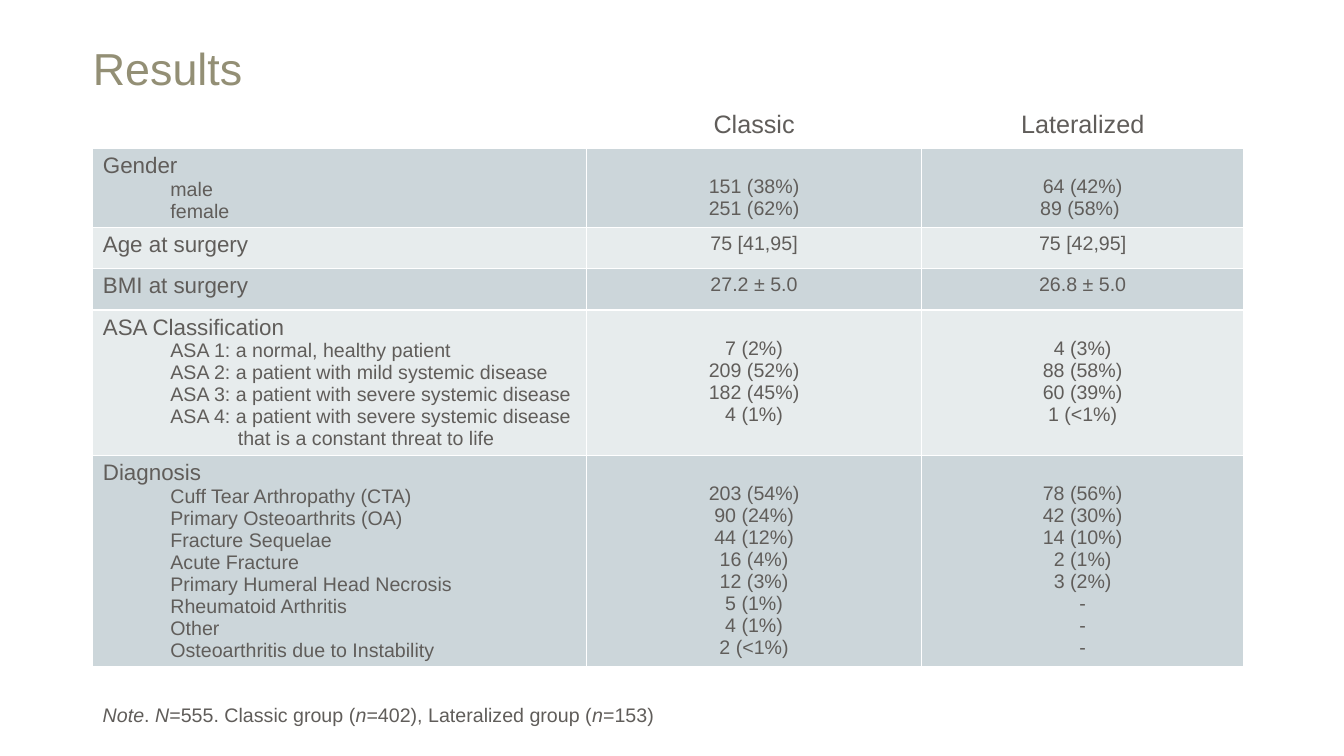
from pptx import Presentation
from pptx.dml.color import RGBColor
from pptx.enum import text
from pptx.util import Cm, Pt

OLIVE = RGBColor(0x93, 0x8F, 0x75)
GREY = RGBColor(0x60, 0x5D, 0x5A)
BANDS = [RGBColor(0xCC, 0xD6, 0xDA), RGBColor(0xE7, 0xEC, 0xED)]
FONT = "Arial"
LEFT, WIDTH = Cm(2.34), Cm(29.03)

columns = [("", 12.45), ("Classic", 8.43), ("Lateralized", 8.13)]
groups = [
    (1.96, "Gender", [
        ("male", "151 (38%)", "64 (42%)"),
        ("female", "251 (62%)", "89 (58%) "),
    ]),
    (1.04, "Age at surgery", [("", "75 [41,95]", "75 [42,95]")]),
    (1.04, "BMI at surgery", [("", "27.2 ± 5.0", "26.8 ± 5.0")]),
    (3.66, "ASA Classification", [
        ("ASA 1: a normal, healthy patient", "7 (2%)", "4 (3%)"),
        ("ASA 2: a patient with mild systemic disease", "209 (52%)", "88 (58%)"),
        ("ASA 3: a patient with severe systemic disease", "182 (45%)", "60 (39%)"),
        ("ASA 4: a patient with severe systemic disease", "4 (1%)", "1 (<1%)"),
        ("that is a constant threat to life", "", ""),
    ]),
    (5.3, "Diagnosis", [
        ("Cuff Tear Arthropathy (CTA)", "203 (54%)", "78 (56%)"),
        ("Primary Osteoarthrits (OA)", "90 (24%)", "42 (30%)"),
        ("Fracture Sequelae", "44 (12%)", "14 (10%)"),
        ("Acute Fracture", "16 (4%)", "2 (1%)"),
        ("Primary Humeral Head Necrosis", "12 (3%)", "3 (2%)"),
        ("Rheumatoid Arthritis", "5 (1%)", "-"),
        ("Other", "4 (1%)", "-"),
        ("Osteoarthritis due to Instability", "2 (<1%)", "-"),
    ]),
]


def style(paragraph, size, align=text.PP_ALIGN.LEFT, color=GREY):
    paragraph.alignment = align
    paragraph.font.name = FONT
    paragraph.font.size = Pt(size)
    paragraph.font.bold = False
    paragraph.font.color.rgb = color


def fill_cell(cell, lines, size, align):
    cell.text = "\n".join(lines)
    for paragraph in cell.text_frame.paragraphs:
        style(paragraph, size, align)


prs = Presentation()
prs.slide_width, prs.slide_height = Cm(33.87), Cm(19.05)
slide = prs.slides.add_slide(prs.slide_layouts[5])

title = slide.shapes.title
title.left, title.top, title.width, title.height = LEFT, Cm(1.02), Cm(29.21), Cm(3.68)
heading = title.text_frame
heading.text = "Results"
heading.vertical_anchor = text.MSO_ANCHOR.TOP
heading.margin_left = heading.margin_top = heading.margin_right = heading.margin_bottom = 0
style(heading.paragraphs[0], 32, color=OLIVE)

table = slide.shapes.add_table(
    len(groups) + 1, len(columns), LEFT, Cm(2.65), WIDTH, Cm(14.1)).table
table.rows[0].height = Cm(1.09)
for col, (name, width) in enumerate(columns):
    table.columns[col].width = Cm(width)
    header = table.cell(0, col)
    header.fill.background()
    fill_cell(header, [name], 18, text.PP_ALIGN.CENTER)

for row, (height, group, entries) in enumerate(groups, start=1):
    table.rows[row].height = Cm(height)
    labels, *results = zip(*entries)
    sublabels = [label for label in labels if label]

    label_cell = table.cell(row, 0)
    fill_cell(label_cell, [group, *sublabels], 14, text.PP_ALIGN.LEFT)
    first, *subs = label_cell.text_frame.paragraphs
    first.font.size = Pt(16)
    for sub in subs:
        continued = sub.text.startswith("that")
        sub.level = 2 if continued else 1
        indent = Cm(3.4 if continued else 1.7)
        properties = sub._p.get_or_add_pPr()
        properties.set("marL", str(indent))
        properties.set("indent", "0")

    for col, values in enumerate(results, start=1):
        result_cell = table.cell(row, col)
        fill_cell(result_cell, [v for v in values if v], 14, text.PP_ALIGN.CENTER)
        if sublabels:
            result_cell.margin_top = Cm(0.69)

    for col in range(len(columns)):
        fill = table.cell(row, col).fill
        fill.solid()
        fill.fore_color.rgb = BANDS[(row - 1) % 2]

note = slide.shapes.add_textbox(LEFT, Cm(17.6), WIDTH, Cm(0.86)).text_frame
note.word_wrap = True
note_line = note.paragraphs[0]
style(note_line, 14, text.PP_ALIGN.JUSTIFY)
for i, part in enumerate(["Note", ". ", "N", "=555. Classic group (", "n",
                          "=402), Lateralized group (", "n", "=153)"]):
    run = note_line.add_run()
    run.text = part
    run.font.italic = i % 2 == 0

prs.save("out.pptx")
